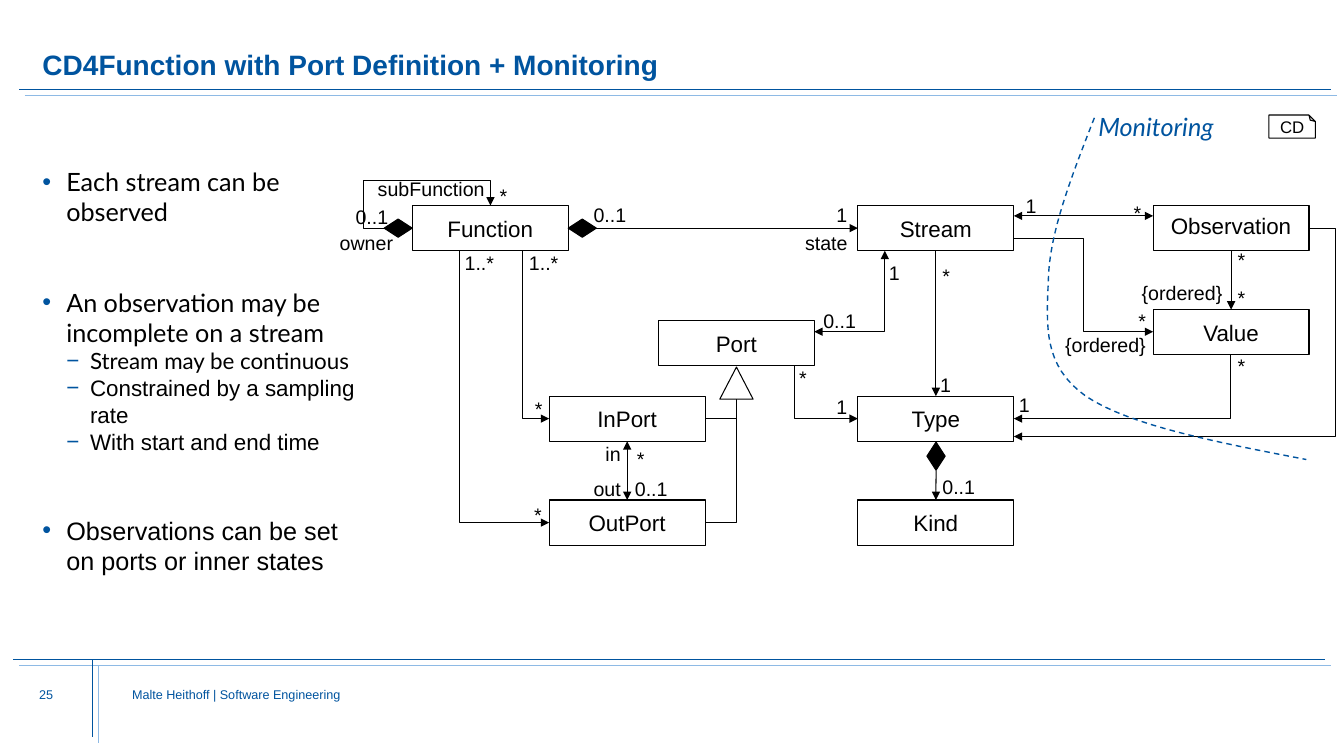
from pptx import Presentation
from pptx.dml.color import RGBColor
from pptx.enum import dml, shapes, text
from pptx.oxml import ns, xmlchemy as xml
from pptx.util import Cm, Pt

HUES = {"blue": "00549F", "light": "8EBAE5", "black": "000000", "white": "FFFFFF"}
KIND, ALIGN, ANCHOR = shapes.MSO_SHAPE, text.PP_ALIGN, text.MSO_ANCHOR
TOP, LEFT, BOTTOM, RIGHT = range(4)
CLASSES = {
    "Function": (10.39, 5.18), "Stream": (21.62, 5.18), "Observation": (29.06, 5.18),
    "Value": (29.06, 7.8), "Port": (16.59, 8.08), "InPort": (13.84, 9.98),
    "Type": (21.62, 9.98), "OutPort": (13.84, 12.6), "Kind": (21.62, 12.6),
}
LABELS = [
    ("subFunction", 9.27, 4.34), ("owner", 8.31, 5.69), ("0..1", 8.71, 5.03), ("*", 12.34, 4.52),
    ("0..1", 14.71, 4.98), ("1", 20.83, 4.98), ("state", 20.04, 5.69), ("1..*", 11.46, 6.2),
    ("1..*", 13.08, 6.2), ("*", 13.23, 9.88), ("*", 13.21, 12.55), ("in", 15.01, 11),
    ("*", 15.8, 11.13), ("out", 14.71, 11.89), ("0..1", 15.75, 11.89), ("1", 22.15, 6.45),
    ("0..1", 20.5, 7.67), ("*", 19.89, 9.09), ("1", 20.83, 9.83), ("*", 23.5, 6.53),
    ("1", 23.44, 9.27), ("0..1", 23.5, 11.84), ("1", 25.6, 4.75), ("*", 28.32, 4.95),
    ("*", 30.94, 6.12), ("*", 30.94, 7.09), ("*", 30.94, 8.79), ("1", 25.43, 9.78),
]
BULLETS = [  # level, text, size, font, space before
    (0, "Each stream can be observed", 18, "Lato", 0),
    (0, "An observation may be incomplete on a stream", 18, "Lato", 43),
    (1, "Stream may be continuous", 16, "Lato", 0),
    (1, "Constrained by a sampling rate", 16, "Arial", 0),
    (1, "With start and end time", 16, "Arial", 0),
    (0, "Observations can be set on ports or inner states", 18, "Arial", 43),
]
CURVE = [(27.58, 2.97), (27, 4.45), (26.44, 5.89), (26.42, 7.06), (26.37, 8.23),
         (26.29, 9.22), (27.36, 9.98), (28.45, 10.72), (30.68, 11.15), (32.92, 11.58)]

def hue(name):
    return RGBColor.from_string(HUES[name])

def add(parent, tag, **attrs):
    node = xml.OxmlElement(tag)
    for key, value in attrs.items():
        node.set(key, value)
    parent.append(node)
    return node

def tune(item, **guides):
    """Set the adjust values of a preset shape."""
    shape = item._element.spPr.find(ns.qn("a:prstGeom"))
    for old in list(shape):
        shape.remove(old)
    held = add(shape, "a:avLst")
    for name, value in guides.items():
        add(held, "a:gd", name=name, fmla=f"val {round(value * 100000)}")
    return shape

def style(para, size, color="black", font="Arial", bold=False, italic=False):
    for run in para.runs:
        run.font.size, run.font.name = Pt(size), font
        run.font.bold, run.font.italic = bold, italic
        run.font.color.rgb = hue(color)

def write(item, words, size, align=ALIGN.LEFT, anchor=ANCHOR.TOP, tight=True, **look):
    frame = item.text_frame
    frame.word_wrap, frame.auto_size = True, text.MSO_AUTO_SIZE.NONE
    frame.vertical_anchor = anchor
    if tight:
        frame.margin_left = frame.margin_right = frame.margin_top = frame.margin_bottom = Cm(0)
    frame.text = words
    for para in frame.paragraphs:
        para.alignment = align
        style(para, size, **look)
    return frame

def note(slide, words, x, y, w, h, size, **look):
    write(slide.shapes.add_textbox(Cm(x), Cm(y), Cm(w), Cm(h)), words, size, **look)

def label(slide, words, x, y, right=False):
    """Put a role or multiplicity; with right, x is the right edge."""
    w = 0.6 + 0.28 * len(words)
    note(slide, words, x - w if right else x, y, w, 0.86, 14, tight=False,
         align=ALIGN.RIGHT if right else ALIGN.LEFT)

def outline(item, color, width, fill=None):
    item.shadow.inherit = False
    item.fill.background()
    if fill:
        item.fill.solid()
        item.fill.fore_color.rgb = hue(fill)
    item.line.color.rgb, item.line.width = hue(color), Pt(width)

def figure(slide, kind, x, y, w, h, fill=None):
    item = slide.shapes.add_shape(kind, Cm(x), Cm(y), Cm(w), Cm(h))
    outline(item, "black", 0.75, fill)
    return item

def box(slide, name, x, y):
    item = figure(slide, KIND.RECTANGLE, x, y, 3.93, 1.14)
    write(item, name, 16, ALIGN.CENTER, ANCHOR.MIDDLE)
    return item

def line(slide, start, end, heads="", color="black", width=0.75, bend=None, **guides):
    """Draw a line; heads holds '<' and '>' for arrows, bend the elbow type."""
    kind = shapes.MSO_CONNECTOR.ELBOW if bend else shapes.MSO_CONNECTOR.STRAIGHT
    item = slide.shapes.add_connector(kind, *map(Cm, start + end))
    item.line.color.rgb, item.line.width = hue(color), Pt(width)
    if bend:
        tune(item, **guides).set("prst", f"bentConnector{bend}")
    props = item._element.spPr
    for mark, tag in (("<", "a:headEnd"), (">", "a:tailEnd")):
        if mark in heads:
            add(props.find(ns.qn("a:ln")), tag, type="triangle")
    add(props, "a:effectLst")
    return item

def join(slide, first, side, last, end, heads=">"):
    item = line(slide, (0, 0), (1, 1), heads)
    item.begin_connect(first, side)
    item.end_connect(last, end)

def bezier(a, b, c, d, steps=16):
    for t in (i / steps for i in range(1, steps + 1)):
        s = 1 - t
        yield tuple(Cm(s**3 * p + 3 * s * s * t * q + 3 * s * t * t * r + t**3 * v)
                    for p, q, r, v in zip(a, b, c, d))

def border(slide):
    pen = slide.shapes.build_freeform(*map(Cm, CURVE[0]))
    for i in range(0, len(CURVE) - 1, 3):
        pen.add_line_segments(bezier(*CURVE[i:i + 4]), close=False)
    item = pen.convert_to_shape()
    outline(item, "blue", 1)
    item.line.dash_style = dml.MSO_LINE.DASH

def place(item, x, y, w, h):
    item.left, item.top, item.width, item.height = Cm(x), Cm(y), Cm(w), Cm(h)

def bullets(body):
    place(body, 1.07, 4.19, 8, 11.4)
    frame = write(body, "\n".join(row[1] for row in BULLETS), 18)
    for para, (level, _, size, font, gap) in zip(frame.paragraphs, BULLETS):
        para.level = level
        props = para._p.get_or_add_pPr()
        props.set("marL", str(Cm(0.6 * (level + 1))))
        props.set("indent", str(Cm(-0.6)))
        add(add(props, "a:buClr"), "a:srgbClr", val=HUES["blue"])
        add(props, "a:buFont", typeface="Arial")
        add(props, "a:buChar", char="•−"[level])
        para.space_before = Pt(gap)
        style(para, size, font=font)

def heading(title):
    place(title, 1.07, 0.56, 31.9, 1.5)
    frame = write(title, "CD4Function with Port Definition + Monitoring", 20,
                  anchor=ANCHOR.BOTTOM, color="blue", bold=True)
    frame.paragraphs[0].line_spacing = 0.9

def rules(slide):
    for x, y, w, h in ((0.48, 2.26, 33.06, 0), (0.33, 16.61, 33.06, 0), (2.34, 16.61, 0, 1.96)):
        for color, step in (("blue", 0), ("light", 0.15)):
            line(slide, (x + step, y + step), (x + step + w, y + step + h), color=color, width=0.5)

def badge(slide):
    item = figure(slide, KIND.FOLDED_CORNER, 31.98, 2.9, 1.17, 0.58, "white")
    tune(item, adj=0.28)
    item._element.spPr.find(ns.qn("a:xfrm")).set("flipV", "1")
    frame = write(item, "CD", 12, ALIGN.CENTER, ANCHOR.MIDDLE)
    frame._txBody.bodyPr.set("rot", "10800000")
    frame.paragraphs[0].line_spacing = 0.7

def diagram(slide):
    # Classes and relation ends
    boxes = {name: box(slide, name, *at) for name, at in CLASSES.items()}
    boxes["Observation"].text_frame.margin_bottom = Cm(0.15)
    figure(slide, KIND.DIAMOND, 9.68, 5.52, 0.71, 0.46, "black")
    state = figure(slide, KIND.DIAMOND, 14.32, 5.52, 0.71, 0.46, "black")
    unit = figure(slide, KIND.DIAMOND, 23.36, 11.14, 0.46, 0.71, "black")
    # Straight relations
    join(slide, boxes["Observation"], BOTTOM, boxes["Value"], TOP)
    join(slide, boxes["Stream"], BOTTOM, boxes["Type"], TOP)
    join(slide, boxes["OutPort"], TOP, boxes["InPort"], BOTTOM, "<>")
    join(slide, unit, BOTTOM, boxes["Kind"], TOP)
    join(slide, state, RIGHT, boxes["Stream"], LEFT)
    line(slide, (29.06, 5.44), (25.55, 5.44), "<>")
    # Elbows, each leaving its start sideways
    for start, end, heads in (
            ((13.84, 10.55), (13.16, 6.32), "<"), ((13.84, 13.17), (11.58, 6.32), "<"),
            ((17.77, 10.55), (18.56, 10.06), ""), ((17.77, 13.17), (18.56, 10.06), ""),
            ((21.62, 10.55), (20.02, 9.22), "<"), ((20.52, 8.36), (22.3, 6.32), "<>"),
            ((25.55, 10.55), (31.02, 8.94), "<")):
        line(slide, start, end, heads, bend=2)
    line(slide, (25.55, 6.02), (29.06, 8.36), ">", bend=3, adj1=0.5)
    line(slide, (32.99, 5.75), (25.55, 11), ">", bend=3, adj1=-0.09)
    line(slide, (9.68, 5.75), (12.36, 5.18), ">", bend=4, adj1=-0.19, adj2=2.1)
    figure(slide, KIND.ISOSCELES_TRIANGLE, 18.14, 9.25, 0.84, 0.81, "white")
    # Roles and multiplicities
    for row in LABELS + [("{ordered}", 31.06, 6.96, True), ("*\n{ordered}", 29.13, 7.67, True)]:
        label(slide, *row)

def main():
    deck = Presentation()
    deck.slide_width, deck.slide_height = Cm(33.87), Cm(19.05)
    slide = deck.slides.add_slide(deck.slide_layouts[1])
    # Frame and text
    rules(slide)
    heading(slide.shapes.title)
    bullets(slide.placeholders[1])
    note(slide, "25", 0.99, 17.3, 2.03, 1.09, 9, color="blue")
    note(slide, "Malte Heithoff | Software Engineering", 3.33, 17.3, 19.46, 1.75, 9, color="blue")
    # Class diagram and monitored part
    diagram(slide)
    border(slide)
    note(slide, "Monitoring", 27.43, 2.69, 3.78, 1.02, 18, tight=False, color="blue", font="Lato", italic=True)
    badge(slide)
    deck.save("out.pptx")

if __name__ == "__main__":
    main()
